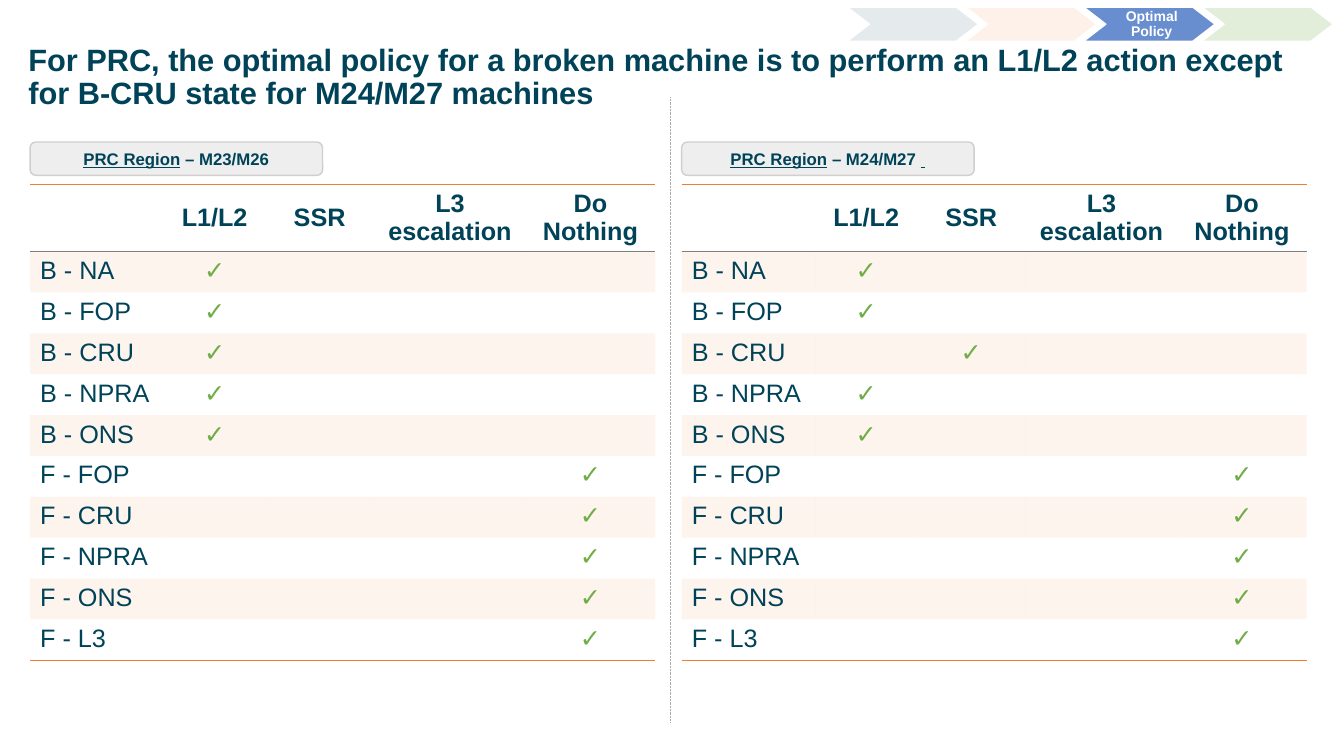
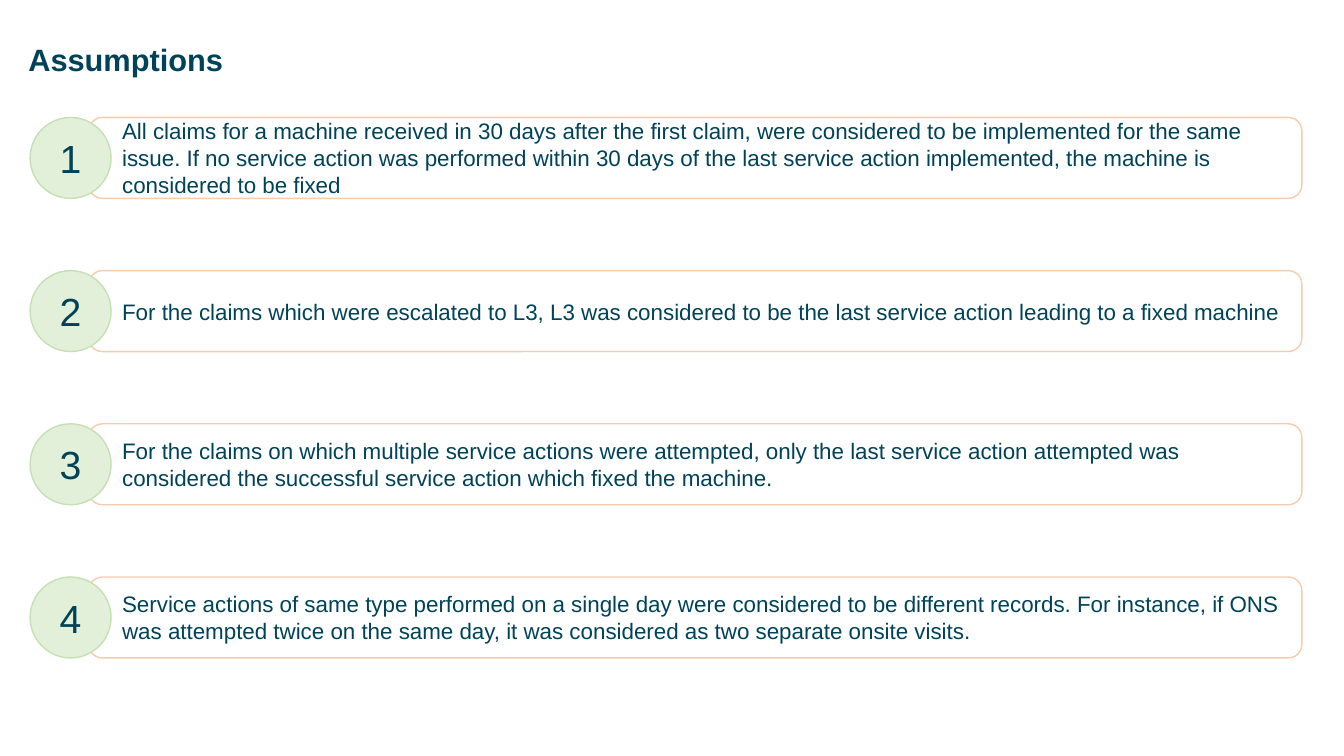
import pptx
import pptx.util
import pptx.dml.color
import pptx.enum.dml
import pptx.enum.shapes
import pptx.enum.text
import pptx.oxml
import pptx.oxml.ns

Cm = pptx.util.Cm
Pt = pptx.util.Pt
RGBColor = pptx.dml.color.RGBColor
MSO_SHAPE = pptx.enum.shapes.MSO_SHAPE
PP_ALIGN = pptx.enum.text.PP_ALIGN
MSO_ANCHOR = pptx.enum.text.MSO_ANCHOR
qn = pptx.oxml.ns.qn

# Shared colours and style
FONT = "Arial"
NAVY = RGBColor(0x00, 0x43, 0x58)
ORANGE = RGBColor(0xED, 0x7D, 0x31)
PEACH = RGBColor(0xF8, 0xCB, 0xAD)
BLUE = RGBColor(0x44, 0x72, 0xC4)
GREEN = RGBColor(0x70, 0xAD, 0x47)
PALE_GREEN = RGBColor(0xE2, 0xF0, 0xD9)
SOFT_GREEN = RGBColor(0xC5, 0xE0, 0xB4)
GRAY = RGBColor(0xAF, 0xAB, 0xAB)
LIGHT_GRAY = RGBColor(0xD0, 0xCE, 0xCE)
MID_GRAY = RGBColor(0x7F, 0x7F, 0x7F)
WHITE = RGBColor(0xFF, 0xFF, 0xFF)
PLAIN_TABLE_STYLE = "{2D5ABB26-0587-4C30-8999-92F81FD0307C}"

LEFT = 0.76
RIGHT_HALF = 17.18

# Steps: label (only the current step has one), colour, opacity in percent
STEPS = [
    ("", NAVY, 10),
    ("", ORANGE, 10),
    ("Optimal Policy", BLUE, 80),
    ("", GREEN, 20),
]
ACTIONS = ["", "L1/L2", "SSR", "L3 escalation", "Do Nothing"]
STATES = ["B - NA", "B - FOP", "B - CRU", "B - NPRA", "B - ONS",
          "F - FOP", "F - CRU", "F - NPRA", "F - ONS", "F - L3"]
L1_L2, SSR, DO_NOTHING = 1, 2, 4
COLUMN_WIDTHS = [3.38, 2.54, 2.75, 3.82, 3.26]
HEADER_HEIGHT, ROW_HEIGHT = 1.69, 1.03
ASSUMPTIONS = [
    "All claims for a machine received in 30 days after the first claim, were "
    "considered to be implemented for the same issue. If no service action was "
    "performed within 30 days of the last service action implemented, the "
    "machine is considered to be fixed",
    "For the claims which were escalated to L3, L3 was considered to be the "
    "last service action leading to a fixed machine",
    "For the claims on which multiple service actions were attempted, only the "
    "last service action attempted was considered the successful service "
    "action which fixed the machine.",
    "Service actions of same type performed on a single day were considered to "
    "be different records. For instance, if ONS was attempted twice on the "
    "same day, it was considered as two separate onsite visits.",
]


def format_paragraph(paragraph, size, color=NAVY, bold=False, align=PP_ALIGN.LEFT):
    paragraph.alignment = align
    paragraph.font.name = FONT
    paragraph.font.size = Pt(size)
    paragraph.font.bold = bold
    paragraph.font.color.rgb = color


def set_fill(fill, properties, color, opacity=100):
    """Fill a shape or cell; properties is the XML element holding the fill."""
    fill.solid()
    fill.fore_color.rgb = color
    if opacity < 100:
        color_element = properties.find(qn("a:solidFill")).find(qn("a:srgbClr"))
        alpha = color_element.makeelement(qn("a:alpha"), {"val": str(opacity * 1000)})
        color_element.append(alpha)


def add_title_slide(presentation, text):
    slide = presentation.slides.add_slide(presentation.slide_layouts[5])
    title = slide.shapes.title
    title.left, title.top, title.width, title.height = Cm(0.46), Cm(1), Cm(32.56), Cm(2.08)
    title.text_frame.text = text
    title.text_frame.vertical_anchor = MSO_ANCHOR.TOP
    paragraph = title.text_frame.paragraphs[0]
    format_paragraph(paragraph, 22, bold=True)
    paragraph.line_spacing = 0.9
    return slide


def add_box(slide, kind, left, top, width, height, color, line_color, opacity=100):
    shape = slide.shapes.add_shape(kind, Cm(left), Cm(top), Cm(width), Cm(height))
    shape.shadow.inherit = False
    set_fill(shape.fill, shape._element.spPr, color, opacity)
    shape.line.color.rgb = line_color
    shape.line.width = Pt(1)
    shape.text_frame.vertical_anchor = MSO_ANCHOR.MIDDLE
    return shape


def add_step_tracker(slide):
    width, height, pitch = 3.31, 0.86, 2.98
    for index, (label, color, opacity) in enumerate(STEPS):
        chevron = add_box(slide, MSO_SHAPE.CHEVRON, 21.35 + index * pitch, 0.18,
                          width, height, color, WHITE, opacity)
        chevron.adjustments[0] = 0.65
        if label:
            frame = chevron.text_frame
            frame.margin_left, frame.margin_right = Cm(0.14), Cm(0.02)
            frame.margin_top = frame.margin_bottom = Cm(0.05)
            frame.text = label
            format_paragraph(frame.paragraphs[0], 10, WHITE, True, PP_ALIGN.CENTER)
            frame.paragraphs[0].line_spacing = 0.9


def add_divider(slide):
    line = slide.shapes.add_connector(pptx.enum.shapes.MSO_CONNECTOR.STRAIGHT,
                                      Cm(16.89), Cm(2.45), Cm(16.89), Cm(18.19))
    line.line.color.rgb = GRAY
    line.line.width = Pt(0.5)
    line.line.dash_style = pptx.enum.dml.MSO_LINE.ROUND_DOT
    properties = line._element.spPr
    properties.append(properties.makeelement(qn("a:effectLst"), {}))


def add_region_label(slide, left, runs):
    label = add_box(slide, MSO_SHAPE.ROUNDED_RECTANGLE, left, 3.58, 7.37, 0.84,
                    GRAY, LIGHT_GRAY, 20)
    paragraph = label.text_frame.paragraphs[0]
    format_paragraph(paragraph, 12, bold=True, align=PP_ALIGN.CENTER)
    for text, underlined in runs:
        run = paragraph.add_run()
        run.text = text
        run.font.underline = underlined


def add_border(cell, side, color):
    """Draw the top (lnT) or bottom (lnB) edge; add the bottom one first."""
    border = pptx.oxml.parse_xml(
        f'<a:{side} {pptx.oxml.ns.nsdecls("a")} w="12700"><a:solidFill>'
        f'<a:srgbClr val="{color}"/></a:solidFill></a:{side}>')
    cell._tc.get_or_add_tcPr().insert(0, border)


def write_cell(cell, text, **style):
    cell.text = text
    format_paragraph(cell.text_frame.paragraphs[0], 18, **style)


def add_policy_table(slide, left, choices):
    """Table with one tick per state; choices gives the ticked column."""
    row_count = len(STATES) + 1
    frame = slide.shapes.add_table(row_count, len(ACTIONS), Cm(left), Cm(4.65),
                                   Cm(sum(COLUMN_WIDTHS)),
                                   Cm(HEADER_HEIGHT + ROW_HEIGHT * len(STATES)))
    table = frame.table
    table._tbl.tblPr.find(qn("a:tableStyleId")).text = PLAIN_TABLE_STYLE
    table.horz_banding = False
    for column, width in zip(table.columns, COLUMN_WIDTHS):
        column.width = Cm(width)
    for index, row in enumerate(table.rows):
        row.height = Cm(ROW_HEIGHT if index else HEADER_HEIGHT)

    # Header
    for column, action in enumerate(ACTIONS):
        cell = table.cell(0, column)
        write_cell(cell, action, bold=True, align=PP_ALIGN.CENTER)
        cell.vertical_anchor = MSO_ANCHOR.MIDDLE
        cell.fill.background()
        add_border(cell, "lnB", MID_GRAY)
        add_border(cell, "lnT", ORANGE)

    # States
    for row, (state, choice) in enumerate(zip(STATES, choices), start=1):
        write_cell(table.cell(row, 0), state)
        for column in range(len(ACTIONS)):
            cell = table.cell(row, column)
            if column:
                write_cell(cell, "✓" if column == choice else "", color=GREEN,
                           bold=True, align=PP_ALIGN.CENTER)
            if row % 2:
                set_fill(cell.fill, cell._tc.get_or_add_tcPr(), PEACH, 20)
            else:
                cell.fill.background()
            if row == row_count - 1:
                add_border(cell, "lnB", ORANGE)


def add_assumption(slide, number, text):
    size = 2.04
    top = 2.96 + (number - 1) * 3.86
    box = add_box(slide, MSO_SHAPE.ROUNDED_RECTANGLE, 2.24, top, 30.57, size, WHITE, PEACH)
    box.text_frame.margin_left = Cm(0.74)
    box.text_frame.text = text
    format_paragraph(box.text_frame.paragraphs[0], 16)
    badge = add_box(slide, MSO_SHAPE.OVAL, LEFT, top, size, size, PALE_GREEN, SOFT_GREEN)
    badge.text_frame.text = str(number)
    format_paragraph(badge.text_frame.paragraphs[0], 28, align=PP_ALIGN.CENTER)


def build_policy_slide(presentation):
    slide = add_title_slide(
        presentation,
        "For PRC, the optimal policy for a broken machine is to perform an "
        "L1/L2 action except for B-CRU state for M24/M27 machines")
    add_step_tracker(slide)
    add_divider(slide)
    broken_first, fixed = [L1_L2] * 5, [DO_NOTHING] * 5
    broken_second = [L1_L2, L1_L2, SSR, L1_L2, L1_L2]
    add_policy_table(slide, LEFT, broken_first + fixed)
    add_region_label(slide, LEFT, [("PRC Region", True), (" – M23/M26", False)])
    add_policy_table(slide, RIGHT_HALF, broken_second + fixed)
    add_region_label(slide, RIGHT_HALF,
                     [("PRC Region", True), (" – M24/M27 ", False), (" ", True)])


def build_assumptions_slide(presentation):
    slide = add_title_slide(presentation, "Assumptions")
    for number, text in enumerate(ASSUMPTIONS, start=1):
        add_assumption(slide, number, text)


def main():
    presentation = pptx.Presentation()
    presentation.slide_width, presentation.slide_height = Cm(33.87), Cm(19.05)
    build_policy_slide(presentation)
    build_assumptions_slide(presentation)
    presentation.save("out.pptx")


if __name__ == "__main__":
    main()
